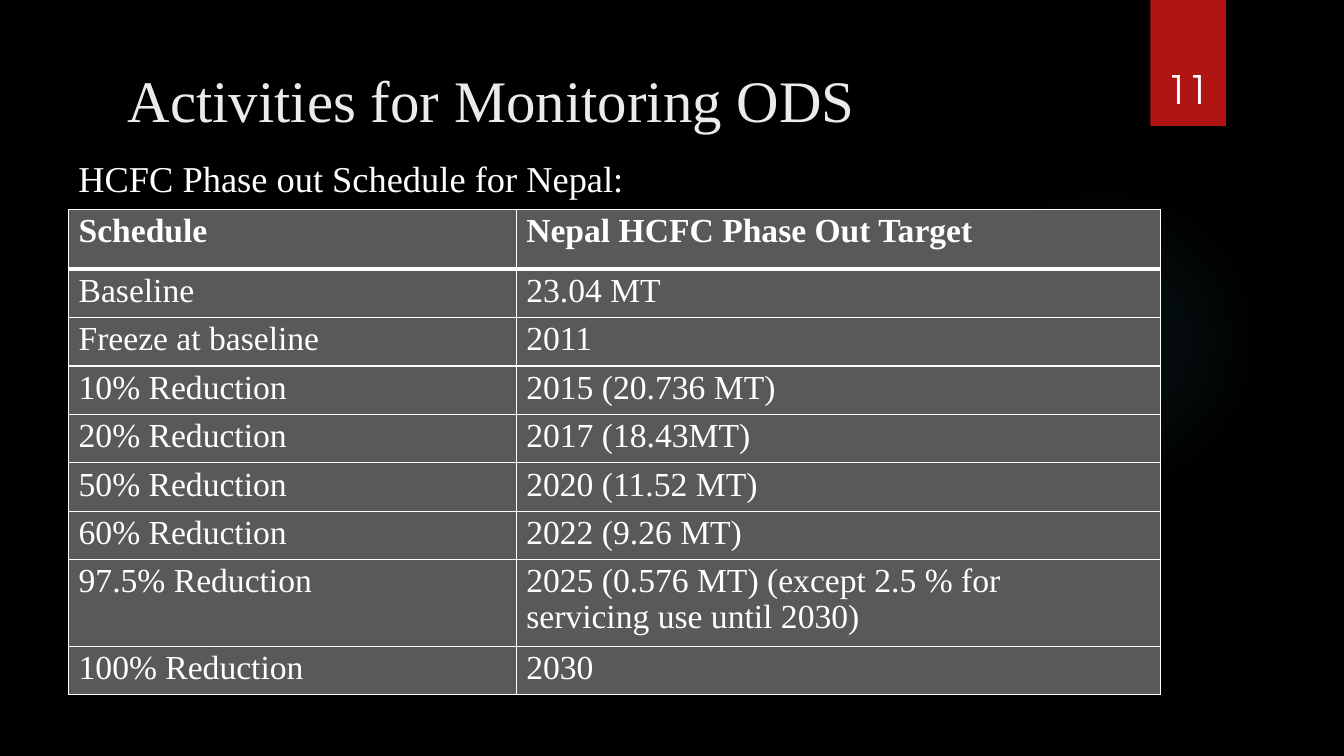
"""Builds the slide with the HCFC phase-out schedule for Nepal."""
from lxml.etree import SubElement
from pptx import Presentation
from pptx.dml.color import RGBColor
from pptx.enum.shapes import MSO_SHAPE as SHAPE
from pptx.enum.text import MSO_ANCHOR as ANCHOR, PP_ALIGN as ALIGN
from pptx.oxml import parse_xml
from pptx.oxml.ns import nsdecls, qn
from pptx.util import Inches, Pt

TITLE = "Activities for Monitoring ODS"
SUBTITLE = "HCFC Phase out Schedule for Nepal:"
PAGE_NUMBER = "11"
SCHEDULE = [
    ("Schedule", "Nepal HCFC Phase Out Target"),
    ("Baseline", "23.04 MT"),
    ("Freeze at baseline", "2011"),
    ("10% Reduction", "2015 (20.736 MT)"),
    ("20% Reduction", "2017 (18.43MT)"),
    ("50% Reduction", "2020 (11.52 MT)"),
    ("60% Reduction", "2022 (9.26 MT)"),
    ("97.5% Reduction", "2025 (0.576 MT) (except 2.5 % for\nservicing use until 2030)"),
    ("100% Reduction", "2030"),
]
COLUMN_WIDTHS = (4.44, 6.39)
HEADER_HEIGHT, ROW_HEIGHT, EXTRA_LINE = 0.59, 0.47, 0.36
GLOW_STOPS = [(0, 7), (36, 6), (69, 0)]

SERIF, SANS = "Times New Roman", "TeX Gyre Adventor"
BLACK = RGBColor(0x00, 0x00, 0x00)
WHITE = RGBColor(0xFF, 0xFF, 0xFF)
OFF_WHITE = RGBColor(0xEB, 0xEB, 0xEB)
GREY = RGBColor(0x59, 0x59, 0x59)
RED = RGBColor(0xB0, 0x15, 0x13)
TEAL = RGBColor(0x50, 0xB9, 0xC1)


def set_font(paragraph, size, color, name=SERIF, bold=False):
    font = paragraph.font
    font.size, font.name, font.bold = Pt(size), name, bold
    font.color.rgb = color


def add_plain_shape(slide, kind, box):
    shape = slide.shapes.add_shape(kind, *map(Inches, box))
    shape.shadow.inherit = False
    shape.line.fill.background()
    return shape


def add_glow(slide):
    glow = add_plain_shape(slide, SHAPE.OVAL, (9.41, 1.83, 3.08, 3.08))
    glow.fill.background()
    stops = "".join(
        f'<a:gs pos="{pos * 1000}"><a:srgbClr val="{TEAL}">'
        f'<a:alpha val="{alpha * 1000}"/></a:srgbClr></a:gs>'
        for pos, alpha in GLOW_STOPS)
    gradient = parse_xml(
        f'<a:gradFill {nsdecls("a")}><a:gsLst>{stops}</a:gsLst><a:path path="circle">'
        '<a:fillToRect l="50000" t="50000" r="50000" b="50000"/></a:path></a:gradFill>')
    no_fill = glow.fill._xPr.find(qn("a:noFill"))
    no_fill.getparent().replace(no_fill, gradient)


def add_text(slide, text, box, size, color, anchor, name=SERIF, align=ALIGN.LEFT):
    frame = slide.shapes.add_textbox(*map(Inches, box)).text_frame
    frame.word_wrap = True
    frame.vertical_anchor = anchor
    paragraph = frame.paragraphs[0]
    paragraph.text = text
    paragraph.alignment = align
    set_font(paragraph, size, color, name)


def set_borders(cell, top, bottom):
    properties = cell._tc.get_or_add_tcPr()
    widths = {"lnL": 1, "lnR": 1, "lnT": top, "lnB": bottom}
    for index, (side, width) in enumerate(widths.items()):
        line = parse_xml(f'<a:{side} {nsdecls("a")} w="{Pt(width)}"/>')
        fill = SubElement(line, qn("a:solidFill"))
        SubElement(fill, qn("a:srgbClr"), val=str(WHITE))
        properties.insert(index, line)


def add_schedule(slide):
    heights = [HEADER_HEIGHT] + [
        ROW_HEIGHT + EXTRA_LINE * target.count("\n") for _, target in SCHEDULE[1:]]
    table = slide.shapes.add_table(
        len(SCHEDULE), len(COLUMN_WIDTHS), Inches(0.68), Inches(2.08),
        Inches(sum(COLUMN_WIDTHS)), Inches(sum(heights))).table
    for column, width in zip(table.columns, COLUMN_WIDTHS):
        column.width = Inches(width)
    for r, (row, height) in enumerate(zip(SCHEDULE, heights)):
        table.rows[r].height = Inches(height)
        for c, text in enumerate(row):
            cell = table.cell(r, c)
            cell.text = text
            cell.fill.solid()
            cell.fill.fore_color.rgb = GREY
            set_borders(cell, 3 if r == 1 else 1, 3 if r == 0 else 1)
            for paragraph in cell.text_frame.paragraphs:
                paragraph.line_spacing = 0.95
                set_font(paragraph, 24, WHITE, bold=r == 0)


def main():
    deck = Presentation()
    deck.slide_width, deck.slide_height = Inches(13.33), Inches(7.5)
    slide = deck.slides.add_slide(deck.slide_layouts[6])
    slide.background.fill.solid()
    slide.background.fill.fore_color.rgb = BLACK

    add_glow(slide)
    ribbon = add_plain_shape(slide, SHAPE.RECTANGLE, (11.41, 0, 0.75, 1.25))
    ribbon.fill.solid()
    ribbon.fill.fore_color.rgb = RED

    add_text(slide, TITLE, (1.17, 0.52, 9.67, 0.93), 42, OFF_WHITE, ANCHOR.MIDDLE)
    add_text(slide, SUBTITLE, (0.68, 1.45, 5.67, 0.64), 26, WHITE, ANCHOR.MIDDLE)
    add_text(slide, PAGE_NUMBER, (11.32, 0.32, 0.92, 0.84), 28, WHITE, ANCHOR.BOTTOM,
             SANS, ALIGN.CENTER)
    add_schedule(slide)
    deck.save("out.pptx")


if __name__ == "__main__":
    main()
